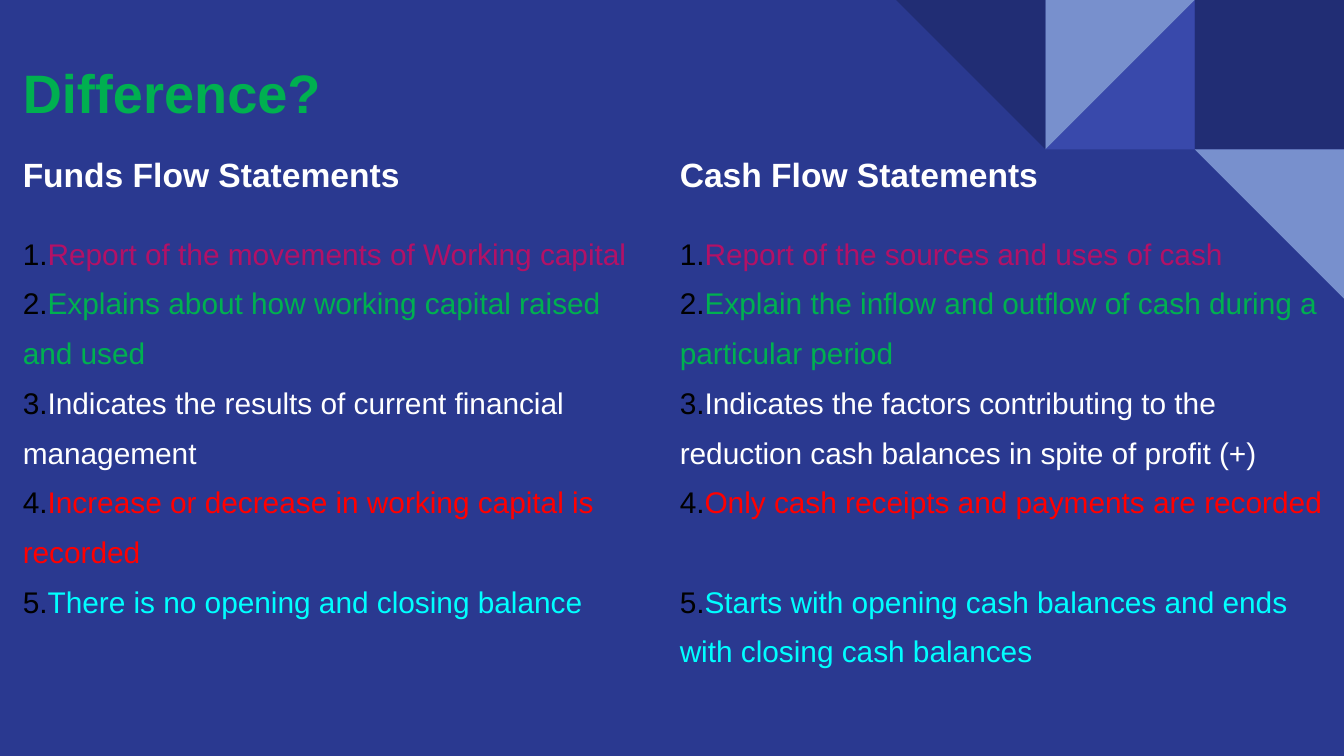
from pptx import Presentation
from pptx.dml.color import RGBColor
from pptx.enum.shapes import MSO_SHAPE
from pptx.enum.text import MSO_ANCHOR, PP_ALIGN
from pptx.util import Pt

FONT = "Arial"
BACKGROUND, NAVY, INDIGO, PALE = "2A3990", "212D74", "3949AB", "7890CD"
WHITE, BLACK, GREEN = "FFFFFF", "000000", "00B050"
TITLE = "Difference?"
ITEM_COLORS = ["B31166", GREEN, WHITE, "FF0000", "00FFFF"]
COLUMNS = [
    {"heading": "Funds Flow Statements", "width": 352, "gaps": {}, "items": [
        "Report of the movements of Working capital",
        "Explains about how working capital raised and used",
        "Indicates the results of current financial management",
        "Increase or decrease in working capital is recorded",
        "There is no opening and closing balance",
    ]},
    # the gap before item 5 lines it up with item 5 on the left
    {"heading": "Cash Flow Statements", "width": 368, "gaps": {5: 26.6}, "items": [
        "Report of the sources and uses of cash",
        "Explain the inflow and outflow of cash during a particular period",
        "Indicates the factors contributing to the reduction cash balances"
        " in spite of profit (+)",
        "Only cash receipts and payments are recorded",
        "Starts with opening cash balances and ends with closing cash balances",
    ]},
]
SLIDE_WIDTH, SLIDE_HEIGHT = 720, 405
TILE = 80
# steps from the right edge, row, shape, rotation, color
TILES = [
    (1, 0, MSO_SHAPE.RECTANGLE, 0, NAVY),
    (2, 0, MSO_SHAPE.RIGHT_TRIANGLE, 270, INDIGO),
    (2, 0, MSO_SHAPE.RIGHT_TRIANGLE, 90, PALE),
    (3, 0, MSO_SHAPE.RIGHT_TRIANGLE, 180, NAVY),
    (1, 1, MSO_SHAPE.RIGHT_TRIANGLE, 180, PALE),
]
ROW_HEIGHTS = [34.5, 237]
PLAIN_TABLE_STYLE = "{2D5ABB26-0587-4C30-8999-92F81FD0307C}"


def rgb(color):
    return RGBColor.from_string(color)


def add_text(paragraph, text, size=16, color=WHITE, bold=False):
    run = paragraph.add_run()
    run.text = text
    run.font.name, run.font.size, run.font.bold = FONT, Pt(size), bold
    run.font.color.rgb = rgb(color)


def set_margins(box):
    box.margin_left = box.margin_right = box.margin_top = box.margin_bottom = Pt(7.2)


def add_title(slide):
    title = slide.shapes.title
    title.left, title.top, title.width, title.height = Pt(5), Pt(16), Pt(647), Pt(66)
    frame = title.text_frame
    set_margins(frame)
    frame.vertical_anchor = MSO_ANCHOR.MIDDLE
    frame.paragraphs[0].alignment = PP_ALIGN.LEFT
    add_text(frame.paragraphs[0], TITLE, size=29, color=GREEN, bold=True)


def add_corner_tiles(slide):
    """Draw the corner pattern behind the title."""
    for steps, row, kind, rotation, color in TILES:
        tile = slide.shapes.add_shape(
            kind, Pt(SLIDE_WIDTH - steps * TILE), Pt(row * TILE), Pt(TILE), Pt(TILE))
        tile.rotation = rotation
        tile.shadow.inherit = False
        tile.fill.solid()
        tile.fill.fore_color.rgb = rgb(color)
        tile.line.fill.background()
        slide.shapes.title.element.addprevious(tile.element)


def add_comparison(slide):
    shape = slide.shapes.add_table(
        len(ROW_HEIGHTS), len(COLUMNS), Pt(5), Pt(74),
        Pt(sum(column["width"] for column in COLUMNS)), Pt(sum(ROW_HEIGHTS)))
    table = shape.table
    table.first_row = table.horz_banding = False
    table._tbl.tblPr.find("{*}tableStyleId").text = PLAIN_TABLE_STYLE
    for row, height in zip(table.rows, ROW_HEIGHTS):
        row.height = Pt(height)
    for cell in table.iter_cells():
        set_margins(cell)
        cell.fill.background()

    for index, column in enumerate(COLUMNS):
        table.columns[index].width = Pt(column["width"])
        heading = table.cell(0, index).text_frame.paragraphs[0]
        heading.line_spacing = 1.15
        add_text(heading, column["heading"], size=18, bold=True)
        frame = table.cell(1, index).text_frame
        for number, (item, color) in enumerate(zip(column["items"], ITEM_COLORS), 1):
            paragraph = frame.paragraphs[0] if number == 1 else frame.add_paragraph()
            paragraph.line_spacing = 1.5
            if number in column["gaps"]:
                paragraph.space_before = Pt(column["gaps"][number])
            add_text(paragraph, f"{number}.", color=BLACK)
            add_text(paragraph, item, color=color)


def main():
    presentation = Presentation()
    presentation.slide_width, presentation.slide_height = Pt(SLIDE_WIDTH), Pt(SLIDE_HEIGHT)
    slide = presentation.slides.add_slide(presentation.slide_layouts.get_by_name("Title Only"))
    slide.background.fill.solid()
    slide.background.fill.fore_color.rgb = rgb(BACKGROUND)
    add_title(slide)
    add_corner_tiles(slide)
    add_comparison(slide)
    presentation.save("out.pptx")


if __name__ == "__main__":
    main()
